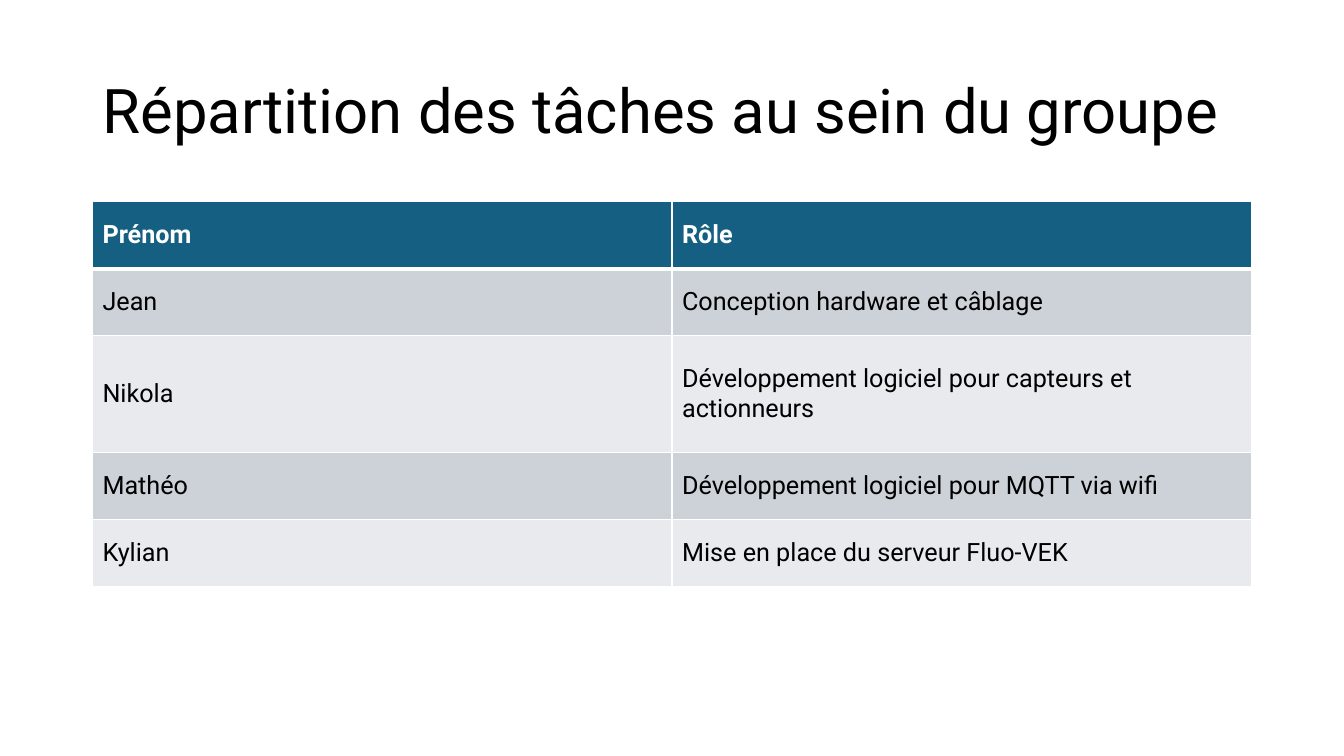
from lxml import etree
from pptx import Presentation
from pptx.dml.color import RGBColor
from pptx.enum.text import MSO_ANCHOR, PP_ALIGN
from pptx.oxml.ns import qn
from pptx.util import Cm, Pt

MIDDLE = MSO_ANCHOR.MIDDLE
LEFT = PP_ALIGN.LEFT

WHITE = RGBColor(0xFF, 0xFF, 0xFF)
BLACK = RGBColor(0x00, 0x00, 0x00)
TEAL = RGBColor(0x15, 0x60, 0x82)
GREY = RGBColor(0xCC, 0xD2, 0xD8)
PALE = RGBColor(0xE8, 0xEA, 0xED)

FONT = "Roboto"
TITLE = "Répartition des tâches au sein du groupe"
ROLES = [
    ("Prénom", "Rôle"),
    ("Jean", "Conception hardware et câblage"),
    ("Nikola", "Développement logiciel pour capteurs et actionneurs"),
    ("Mathéo", "Développement logiciel pour MQTT via wifi"),
    ("Kylian", "Mise en place du serveur Fluo-VEK"),
]
ROW = Cm(1.69)
TALL = Cm(2.94)
HEIGHTS = [ROW, ROW, TALL, ROW, ROW]


def style(par, size, color, bold=False):
    par.alignment = LEFT
    for run in par.runs:
        run.font.name = FONT
        run.font.size = Pt(size)
        run.font.bold = bold
        run.font.color.rgb = color


def border(cell, widths):
    props = cell._tc.get_or_add_tcPr()
    for side, width in widths.items():
        line = etree.SubElement(props, qn(f"a:ln{side}"), w=str(Pt(width)))
        fill = etree.SubElement(line, qn("a:solidFill"))
        etree.SubElement(fill, qn("a:srgbClr"), val=str(WHITE))


def add_title(slide, left, top, width, height):
    title = slide.shapes.title
    title.left, title.top = left, top
    title.width, title.height = width, height
    frame = title.text_frame
    frame.text = TITLE
    frame.word_wrap = True
    frame.vertical_anchor = MIDDLE
    par = frame.paragraphs[0]
    par.line_spacing = 0.9
    style(par, 44, BLACK)


def add_roles(slide, left, top, width):
    count = len(ROLES[0])
    frame = slide.shapes.add_table(
        len(ROLES), count, left, top, width, sum(HEIGHTS))
    table = frame.table
    for col in table.columns:
        col.width = width // count
    for i, (texts, height) in enumerate(zip(ROLES, HEIGHTS)):
        table.rows[i].height = height
        head = i == 0
        shade = TEAL if head else GREY if i % 2 else PALE
        edges = {"L": 1, "R": 1, "T": 1, "B": 3 if head else 1}
        for j, text in enumerate(texts):
            cell = table.cell(i, j)
            border(cell, edges)
            cell.fill.solid()
            cell.fill.fore_color.rgb = shade
            cell.vertical_anchor = MIDDLE
            cell.text_frame.text = text
            style(cell.text_frame.paragraphs[0], 18,
                  WHITE if head else BLACK, head)


def main():
    deck = Presentation()
    deck.slide_width = Cm(33.87)
    deck.slide_height = Cm(19.05)
    slide = deck.slides.add_slide(deck.slide_layouts.get_by_name("Title Only"))
    left, width = Cm(2.33), Cm(29.21)
    add_title(slide, left, Cm(1.01), width, Cm(3.68))
    add_roles(slide, left, Cm(5.08), width)
    deck.save("out.pptx")


if __name__ == "__main__":
    main()
